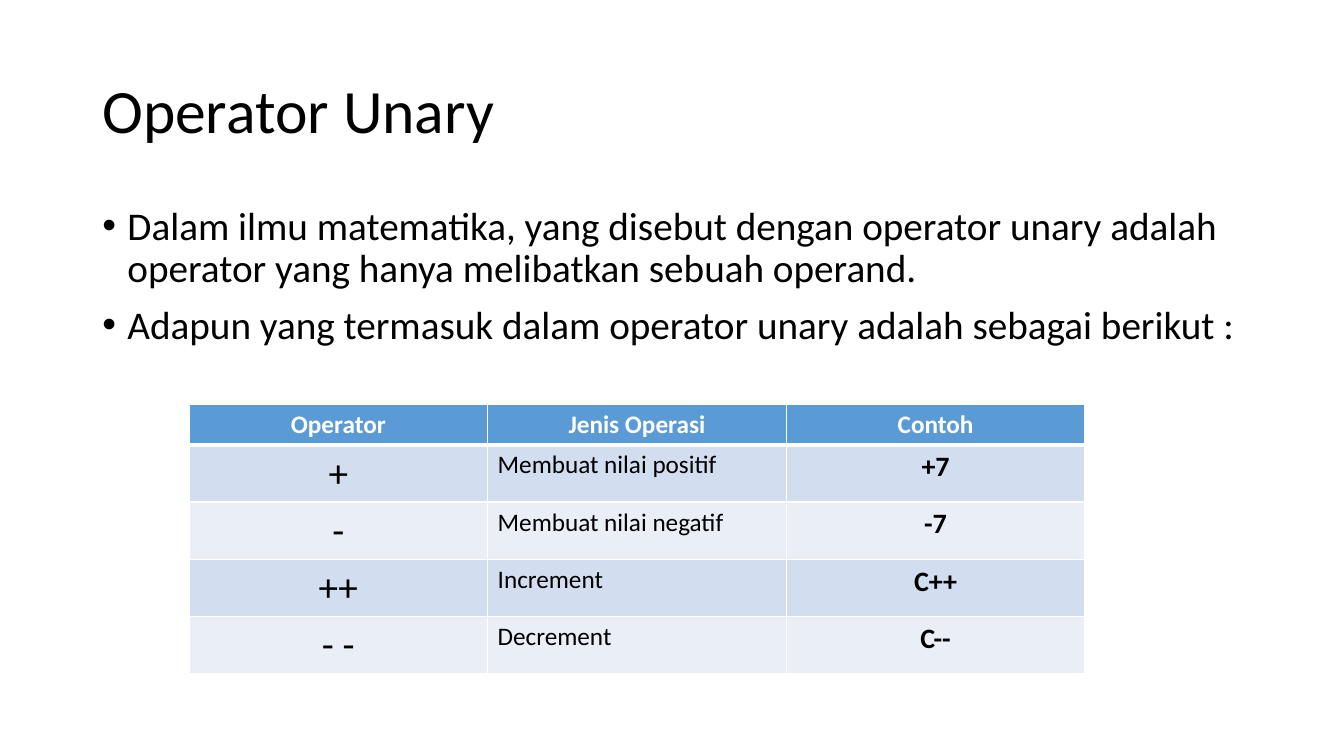
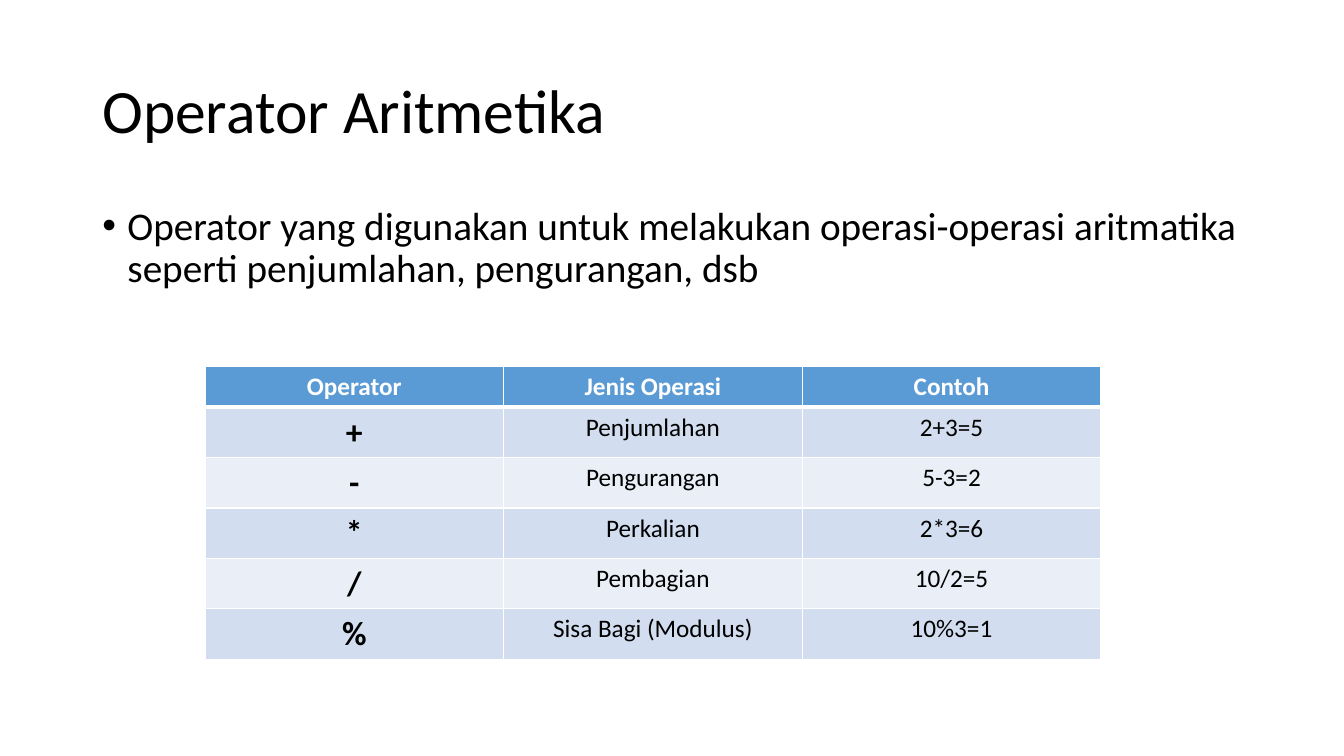
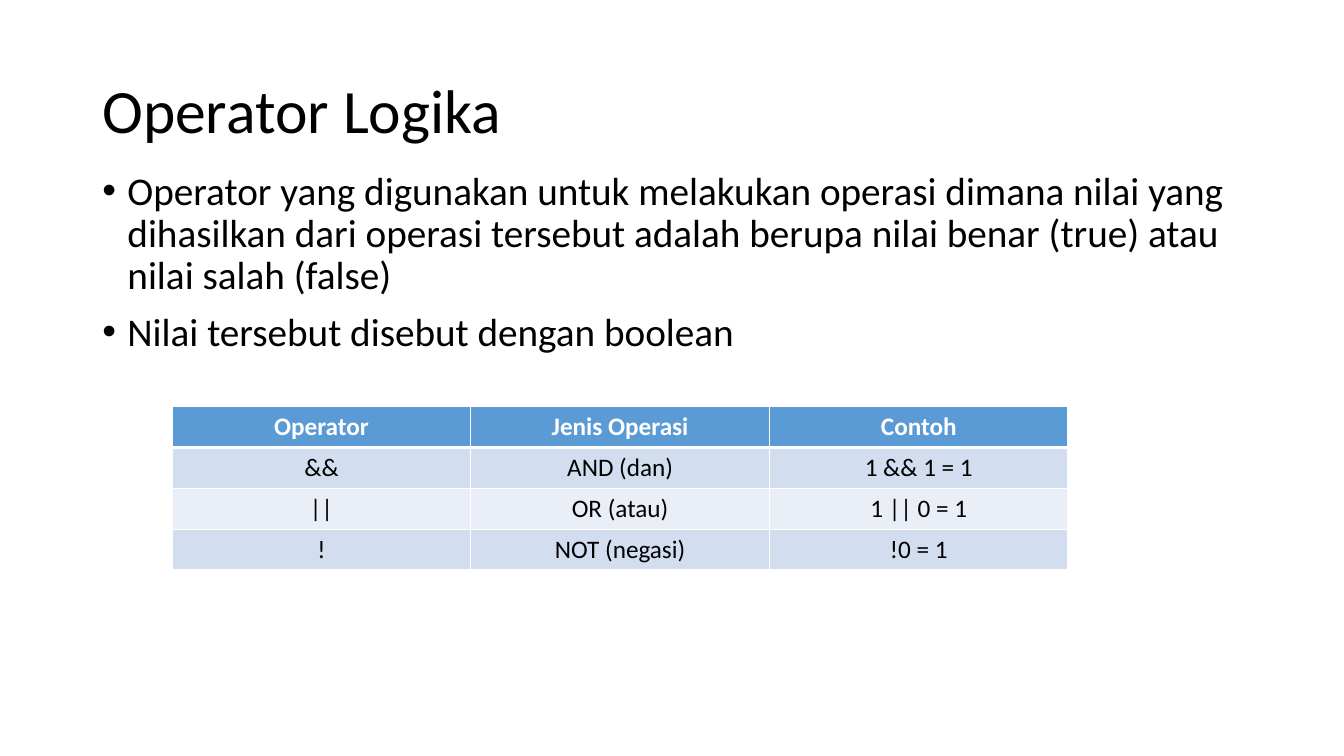
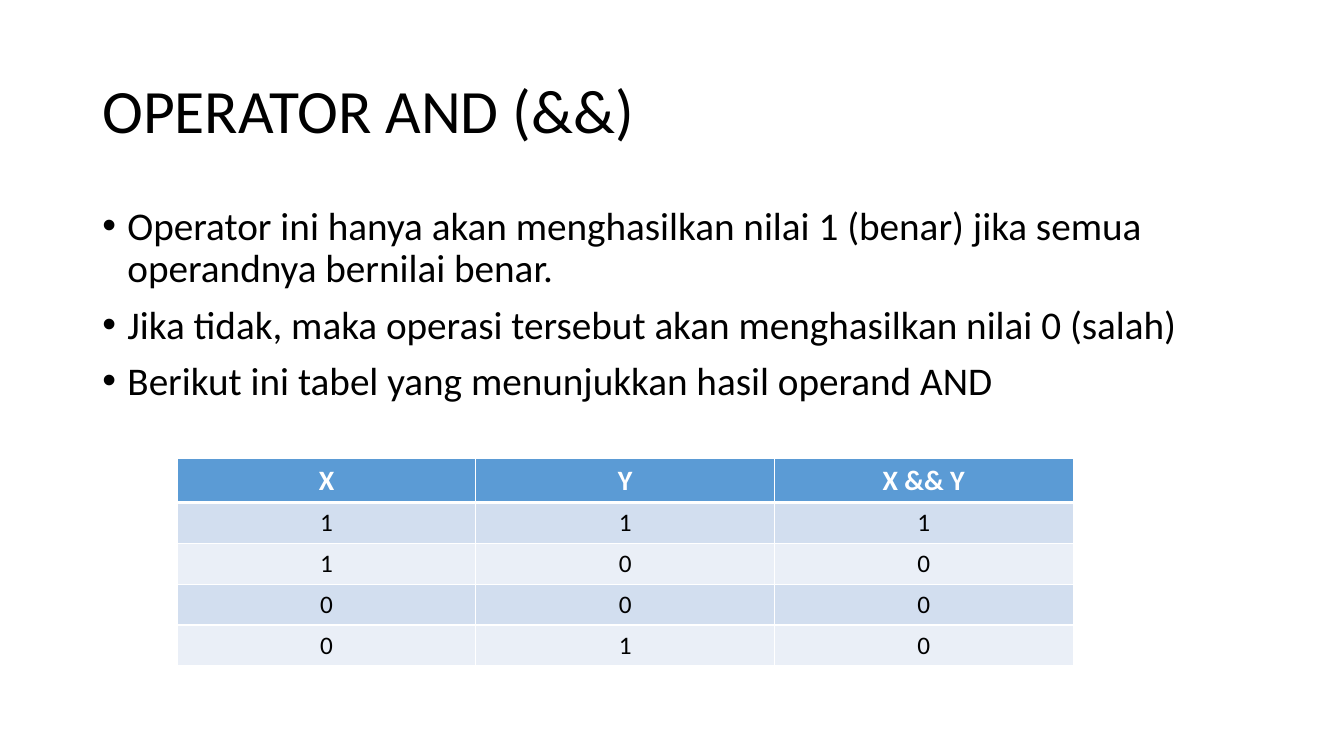
from lxml import etree
from pptx import Presentation
from pptx import util as u
from pptx.dml.color import RGBColor
from pptx.enum import text
from pptx.oxml.ns import qn

COLORS = {
    "text": "000000",
    "header_text": "FFFFFF",
    "header": "5B9BD5",
    "band_dark": "D2DEEF",
    "band_light": "EAEFF7",
    "border": "FFFFFF",
}
FONT = "Calibri"

# The slide is a grid of 160 columns by 90 rows, 12 to the inch.
COLUMNS, ROWS = 160, 90
CELL = u.Inches(1) // 12
LEFT, WIDTH = 11, 138
BODY_TOP = 24
TABLE_COLUMN = COLUMNS * 2 / 9
LINE_ROW = 4.87

CENTER, START = text.PP_ALIGN.CENTER, text.PP_ALIGN.LEFT
PLAIN = (18, False, CENTER)
OPERATOR_HEADER = ("Operator", "Jenis Operasi", "Contoh")


def grid(*cells):
    return [round(c * CELL) for c in cells]


def add_run(p, words, size, color="text", bold=False):
    r = p.add_run()
    r.text = words
    r.font.name = FONT
    r.font.size = u.Pt(size)
    r.font.bold = bold
    r.font.color.rgb = RGBColor.from_string(COLORS[color])


def add_text_frame(s, top, height, anchor):
    tf = s.shapes.add_textbox(*grid(LEFT, top, WIDTH, height)).text_frame
    tf.word_wrap = True
    tf.vertical_anchor = anchor
    return tf


def add_title(s, title):
    tf = add_text_frame(s, 4.8, 17.4, text.MSO_ANCHOR.MIDDLE)
    p = tf.paragraphs[0]
    p.line_spacing = 0.9
    add_run(p, title, 44)


def set_bullet(p):
    """Give the paragraph a round bullet with a hanging indent."""
    pPr = p._p.get_or_add_pPr()
    indent = u.Inches(0.25)
    pPr.set("marL", str(indent))
    pPr.set("indent", str(-indent))
    etree.SubElement(pPr, qn("a:buFont")).set("typeface", "Arial")
    etree.SubElement(pPr, qn("a:buChar")).set("char", "•")


def add_bullets(s, items, top):
    tf = add_text_frame(s, top, 57.1, text.MSO_ANCHOR.TOP)
    for i, item in enumerate(items):
        p = tf.add_paragraph() if i else tf.paragraphs[0]
        p.line_spacing = 0.9
        p.space_before = u.Pt(10)
        set_bullet(p)
        add_run(p, item, 28)


def set_borders(cell, top, bottom):
    """Draw the four cell borders; top and bottom widths are in points."""
    tcPr = cell._tc.get_or_add_tcPr()
    widths = {"lnL": 1, "lnR": 1, "lnT": top, "lnB": bottom}
    for i, (side, width) in enumerate(widths.items()):
        ln = etree.Element(qn(f"a:{side}"), w=str(u.Pt(width)))
        fill = etree.SubElement(ln, qn("a:solidFill"))
        etree.SubElement(fill, qn("a:srgbClr")).set("val", COLORS["border"])
        tcPr.insert(i, ln)


def fill_cell(cell, words, style, fill, color, top=1, bottom=1):
    size, bold, align = style
    cell.fill.solid()
    cell.fill.fore_color.rgb = RGBColor.from_string(COLORS[fill])
    set_borders(cell, top, bottom)
    p = cell.text_frame.paragraphs[0]
    p.alignment = align
    add_run(p, words, size, color, bold)


def add_table(s, left, top, header, rows, styles=(PLAIN,) * 3,
              row_height=LINE_ROW, header_size=18, header_height=LINE_ROW):
    """Add a banded table; styles holds (size, bold, alignment) per column."""
    n_rows, n_cols = len(rows) + 1, len(header)
    height = header_height + row_height * len(rows)
    table = s.shapes.add_table(
        n_rows, n_cols, *grid(left, top, TABLE_COLUMN * n_cols, height)).table
    table.horz_banding = False
    for i, row in enumerate(table.rows):
        row.height = grid(row_height if i else header_height)[0]
    for j, words in enumerate(header):
        fill_cell(table.cell(0, j), words, (header_size, True, CENTER),
                  "header", "header_text", bottom=3)
    for i, row in enumerate(rows, 1):
        band = "band_dark" if i % 2 else "band_light"
        for j, (words, style) in enumerate(zip(row, styles)):
            fill_cell(table.cell(i, j), words, style, band, "text",
                      top=3 if i == 1 else 1)


def add_slide(prs, title, bullets, body_top=BODY_TOP):
    s = prs.slides.add_slide(prs.slide_layouts[6])
    add_title(s, title)
    add_bullets(s, bullets, body_top)
    return s


def main():
    prs = Presentation()
    prs.slide_width, prs.slide_height = grid(COLUMNS, ROWS)

    s = add_slide(prs, "Operator Unary", [
        "Dalam ilmu matematika, yang disebut dengan operator unary adalah "
        "operator yang hanya melibatkan sebuah operand.",
        "Adapun yang termasuk dalam operator unary adalah sebagai berikut :",
    ])
    add_table(s, 22.5, 48.1, OPERATOR_HEADER, [
        ("+", "Membuat nilai positif", "+7"),
        ("-", "Membuat nilai negatif", "-7"),
        ("++", "Increment", "C++"),
        ("- -", "Decrement", "C--"),
    ], styles=((28, False, CENTER), (18, False, START), (20, True, CENTER)),
        row_height=6.8)

    s = add_slide(prs, "Operator Aritmetika", [
        "Operator yang digunakan untuk melakukan operasi-operasi aritmatika "
        "seperti penjumlahan, pengurangan, dsb",
    ])
    add_table(s, 24.4, 43.6, OPERATOR_HEADER, [
        ("+", "Penjumlahan", "2+3=5"),
        ("-", "Pengurangan", "5-3=2"),
        ("*", "Perkalian", "2*3=6"),
        ("/", "Pembagian", "10/2=5"),
        ("%", "Sisa Bagi (Modulus)", "10%3=1"),
    ], styles=((24, True, CENTER), PLAIN, PLAIN), row_height=6)

    s = add_slide(prs, "Operator Logika", [
        "Operator yang digunakan untuk melakukan operasi dimana nilai yang "
        "dihasilkan dari operasi tersebut adalah berupa nilai benar (true) "
        "atau nilai salah (false)",
        "Nilai tersebut disebut dengan boolean",
    ], body_top=19.8)
    add_table(s, 20.5, 48.4, OPERATOR_HEADER, [
        ("&&", "AND (dan)", "1 && 1 = 1"),
        ("||", "OR (atau)", "1 || 0 = 1"),
        ("!", "NOT (negasi)", "!0 = 1"),
    ])

    s = add_slide(prs, "OPERATOR AND (&&)", [
        "Operator ini hanya akan menghasilkan nilai 1 (benar) jika semua "
        "operandnya bernilai benar.",
        "Jika tidak, maka operasi tersebut akan menghasilkan nilai 0 (salah)",
        "Berikut ini tabel yang menunjukkan hasil operand AND",
    ])
    add_table(s, 21.1, 54.6, ("X", "Y", "X && Y"),
              ["111", "100", "000", "010"], header_size=20, header_height=5.2)

    prs.save("out.pptx")


if __name__ == "__main__":
    main()
